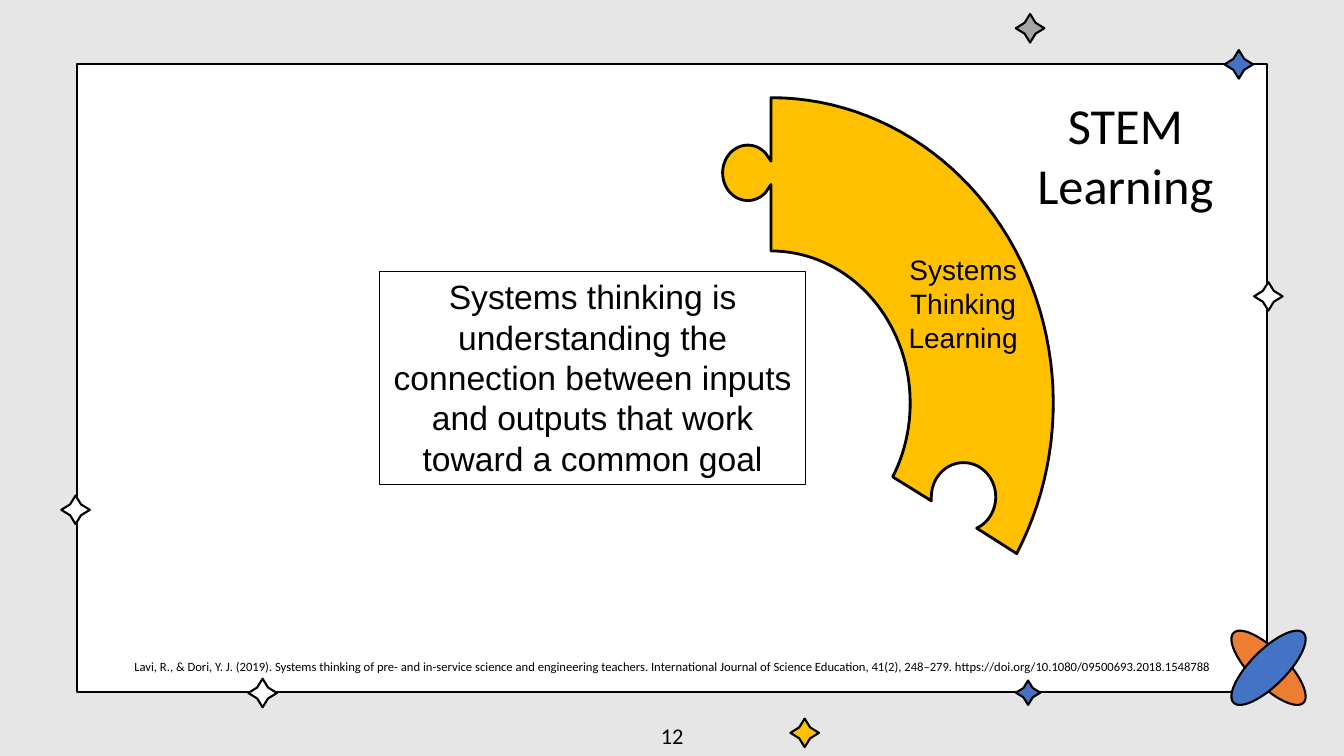
"""Build the STEM learning slide on systems thinking."""
from math import cos, radians, sin

from lxml.etree import SubElement
from pptx import Presentation
from pptx.dml.color import RGBColor
from pptx.enum.shapes import MSO_SHAPE
from pptx.enum.text import MSO_ANCHOR, MSO_AUTO_SIZE, PP_ALIGN
from pptx.oxml.ns import qn
from pptx.util import Pt

COLORS = {
    "background": "E7E6E6", "white": "FFFFFF", "black": "000000", "gold": "FFC000",
    "blue": "4472C4", "orange": "ED7D31", "gray": "A5A5A5",
}


def paint(shape, fill, line_width):
    shape.shadow.inherit = False
    shape.fill.solid()
    shape.fill.fore_color.rgb = RGBColor.from_string(COLORS[fill])
    shape.line.color.rgb = RGBColor.from_string(COLORS["black"])
    shape.line.width = Pt(line_width)
    SubElement(shape.line._get_or_add_ln(), qn("a:round"))


def arc(center_x, center_y, radius_x, radius_y, start, end, steps=48):
    angles = [radians(start + (end - start) * step / steps) for step in range(steps + 1)]
    return [(center_x + radius_x * cos(a), center_y + radius_y * sin(a)) for a in angles]


deck = Presentation()
deck.slide_width, deck.slide_height = Pt(960), Pt(540)
page = deck.slides.add_slide(deck.slide_layouts[5])
page.background.fill.solid()
page.background.fill.fore_color.rgb = RGBColor.from_string(COLORS["background"])
shapes = page.shapes

frame = shapes.add_shape(MSO_SHAPE.RECTANGLE, Pt(55.2), Pt(45.7), Pt(849.6), Pt(448.6))
paint(frame, "white", 1.5)

for fill, rotation in [("orange", 45), ("blue", -45)]:
    petal = shapes.add_shape(MSO_SHAPE.OVAL, Pt(870.8), Pt(464.3), Pt(70.6), Pt(25.4))
    petal.rotation = rotation
    paint(petal, fill, 1.5)

sparkles = [
    (734.4, 494.8, 17.4, "blue"), (884.9, 46, 20.4, "blue"), (574.8, 523.5, 20.4, "gold"),
    (906, 211.7, 20.4, "white"), (187.6, 495, 20.4, "white"), (735.8, 20.2, 20.4, "gray"),
    (54, 364.2, 20.4, "white"),
]
for center_x, center_y, size, fill in sparkles:
    sparkle = shapes.add_shape(
        MSO_SHAPE.STAR_4_POINT, Pt(center_x - size / 2), Pt(center_y - size / 2), Pt(size), Pt(size))
    sparkle.adjustments[0] = 0.27
    paint(sparkle, fill, 1.5)

outer_edge = arc(550.8, 288, 201.6, 218.2, -90, 29.5)
pocket = arc(688.3, 355, 23, 24.5, 417, 180)
inner_edge = arc(550.8, 288, 99.4, 108.7, 29, -90)
tab = arc(534.2, 123.5, 18, 19.8, 45, 315)
outline = [
    *outer_edge, (697.7, 377.3), *pocket, (665.3, 357.8), *inner_edge,
    (550.8, 131.8), *tab, (550.8, 115.2),
]
points = [(Pt(x), Pt(y)) for x, y in outline]
builder = shapes.build_freeform(*points[0])
builder.add_line_segments(points[1:], close=True)
paint(builder.convert_to_shape(), "gold", 2)

title = shapes.title
shapes._spTree.append(title._element)
title.fill.solid()
title.fill.fore_color.rgb = RGBColor.from_string(COLORS["white"])
definition = shapes.add_textbox(0, 0, 0, 0)
definition.line.color.rgb = RGBColor.from_string(COLORS["black"])
definition.line.width = Pt(0.75)

texts = [
    (title, (722.9, 63.4, 162, 94.3), ["STEM", "Learning"], "Calibri", 36, MSO_ANCHOR.TOP),
    (shapes.add_textbox(0, 0, 0, 0), (634.3, 177.1, 107.3, 79.9),
     ["Systems Thinking Learning"], "Arial", 20, MSO_ANCHOR.TOP),
    (definition, (271.4, 193.7, 303.8, 152.6),
     ["Systems thinking is understanding the connection between inputs and outputs "
      "that work toward a common goal"], "Arial", 24, MSO_ANCHOR.TOP),
    (shapes.add_textbox(0, 0, 0, 0), (65.5, 467.3, 828.7, 18),
     ["Lavi, R., & Dori, Y. J. (2019). Systems thinking of pre- and in-service science and "
      "engineering teachers. International Journal of Science Education, 41(2), 248–279. "
      "https://doi.org/10.1080/09500693.2018.1548788"], "Calibri", 9, MSO_ANCHOR.TOP),
    (shapes.add_textbox(0, 0, 0, 0), (372.2, 511.2, 216, 28.8),
     ["12"], "Calibri", 16, MSO_ANCHOR.MIDDLE),
]
for box, place, lines, font_name, size, anchor in texts:
    for name, value in zip(("left", "top", "width", "height"), place):
        setattr(box, name, Pt(value))
    text = box.text_frame
    text.text = "\n".join(lines)
    text_format = {"word_wrap": True, "auto_size": MSO_AUTO_SIZE.NONE, "vertical_anchor": anchor}
    for name, value in text_format.items():
        setattr(text, name, value)
    for para in text.paragraphs:
        para.alignment = PP_ALIGN.CENTER
        for span in para.runs:
            for name, value in {"name": font_name, "size": Pt(size)}.items():
                setattr(span.font, name, value)
            span.font.color.rgb = RGBColor.from_string(COLORS["black"])

deck.save("out.pptx")
